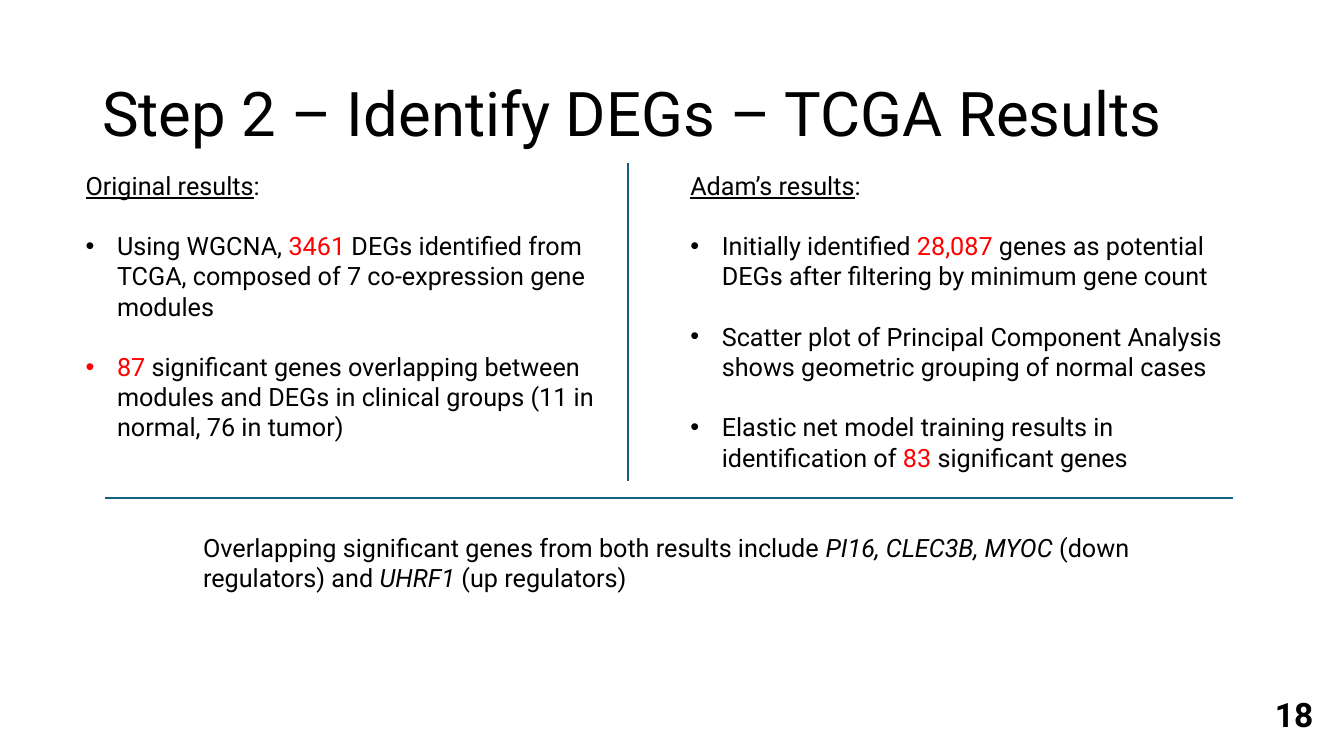
import pptx
import pptx.util
import pptx.dml.color
import pptx.enum.shapes
import pptx.enum.text
import pptx.oxml.ns
import lxml.etree
from dataclasses import dataclass

Pt = pptx.util.Pt
RGB = pptx.dml.color.RGBColor
Anchor = pptx.enum.text.MSO_ANCHOR
qn = pptx.oxml.ns.qn


@dataclass(frozen=True)
class Theme:
    font: str = "Roboto"
    ink: RGB = RGB(0, 0, 0)
    accent: RGB = RGB(255, 0, 0)
    rule: RGB = RGB(0x15, 0x60, 0x82)
    title: int = 44
    body: int = 18
    number: int = 24


theme = Theme()
deck = pptx.Presentation()
deck.slide_width, deck.slide_height = Pt(960), Pt(540)
page = deck.slides.add_slide(deck.slide_layouts[6])


def add_box(left, top, width, height, anchor=Anchor.TOP):
    box = page.shapes.add_textbox(Pt(left), Pt(top), Pt(width), Pt(height))
    box.text_frame.word_wrap = True
    box.text_frame.vertical_anchor = anchor
    return box.text_frame


def add_spans(para, pieces, size=theme.body):
    for text, style in pieces:
        span = para.add_run()
        span.text = text
        span.font.name = theme.font
        span.font.size = Pt(size)
        span.font.color.rgb = theme.accent if style == "accent" else theme.ink
        if style == "bold":
            span.font.bold = True
        elif style == "italic":
            span.font.italic = True
        elif style == "underline":
            span.font.underline = True


title = add_box(66, 51, 828, 65, Anchor.MIDDLE).paragraphs[0]
title.line_spacing = 0.9
add_spans(title, [("Step 2 – Identify DEGs – TCGA Results", "")], theme.title)

number = add_box(903.5, 495.5, 56.5, 29, Anchor.MIDDLE).paragraphs[0]
add_spans(number, [("18", "bold")], theme.number)

columns = [
    (54, 225.5, "Original results", [
        [("Using WGCNA, ", ""), ("3461", "accent"),
         (" DEGs identified from TCGA, composed of 7 co-expression gene modules", "")],
        [("87", "accent"),
         (" significant genes overlapping between modules and DEGs in clinical groups "
          "(11 in normal, 76 in tumor)", "")],
    ]),
    (486, 247, "Adam’s results", [
        [("Initially identified ", ""), ("28,087", "accent"),
         (" genes as potential DEGs after filtering by minimum gene count", "")],
        [("Scatter plot of Principal Component Analysis shows geometric grouping "
          "of normal cases", "")],
        [("Elastic net model training results in identification of ", ""),
         ("83", "accent"), (" significant genes", "")],
    ]),
]
for left, height, heading, findings in columns:
    frame = add_box(left, 118, 394.5, height)
    add_spans(frame.paragraphs[0], [(heading, "underline"), (":", "")])
    for finding in findings:
        para = frame.add_paragraph()
        para.space_before = Pt(21.5)
        properties = para._p.get_or_add_pPr()
        properties.set("marL", str(Pt(22.5)))
        properties.set("indent", str(-Pt(22.5)))
        lxml.etree.SubElement(properties, qn("a:buFont")).set("typeface", "Arial")
        lxml.etree.SubElement(properties, qn("a:buChar")).set("char", "•")
        add_spans(para, finding)

summary = add_box(138, 376.5, 679, 51).paragraphs[0]
add_spans(summary, [
    ("Overlapping significant genes from both results include ", ""),
    ("PI16, CLEC3B, MYOC", "italic"),
    (" (down regulators) and ", ""),
    ("UHRF1", "italic"),
    (" (up regulators)", ""),
])

for ends in [(448.5, 116.5, 448.5, 343.5), (75, 355.5, 880.5, 355.5)]:
    divider = page.shapes.add_connector(
        pptx.enum.shapes.MSO_CONNECTOR.STRAIGHT, *map(Pt, ends))
    divider.line.color.rgb = theme.rule
    divider.line.width = Pt(1.5)
    lxml.etree.SubElement(divider._element.spPr, qn("a:effectLst"))

deck.save("out.pptx")
